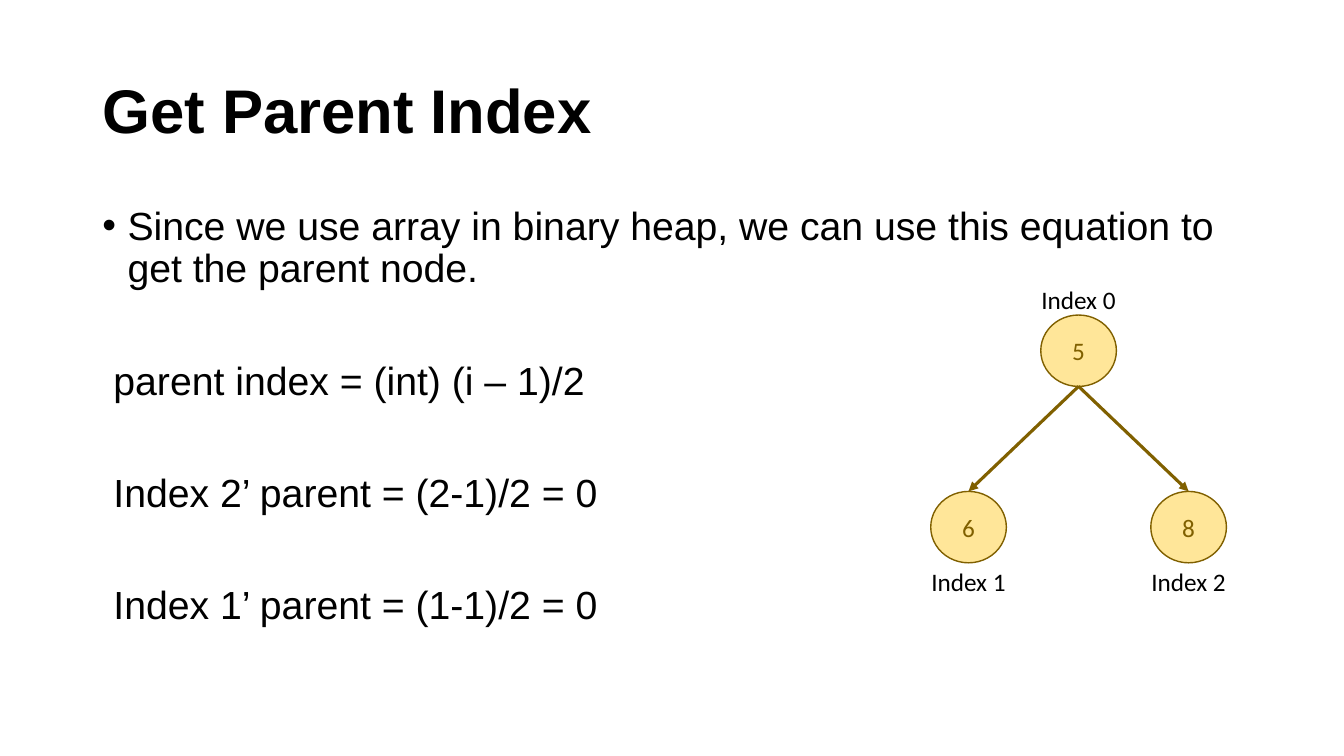
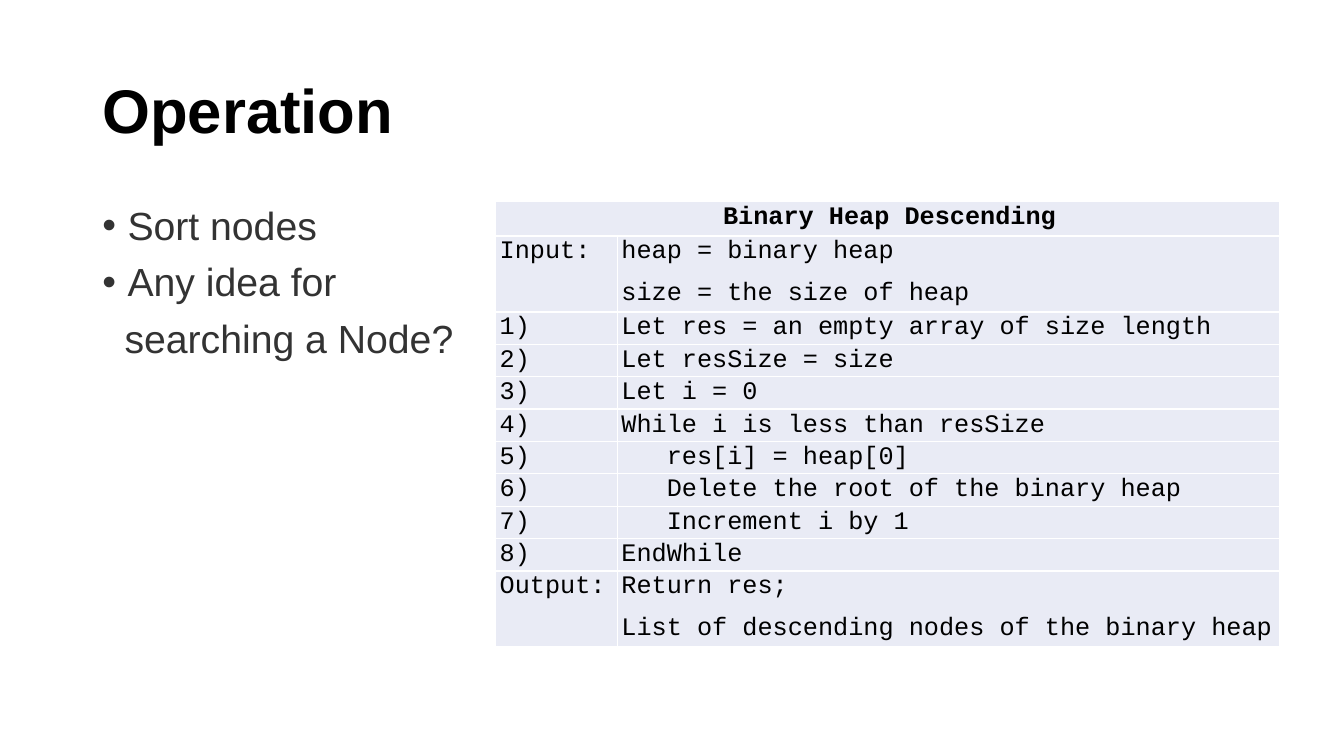
from lxml.etree import SubElement
from pptx import Presentation
from pptx.dml.color import RGBColor
from pptx.enum.shapes import MSO_CONNECTOR, MSO_SHAPE
from pptx.enum.text import MSO_ANCHOR, PP_ALIGN
from pptx.oxml import parse_xml
from pptx.oxml.ns import nsdecls, qn
from pptx.util import Inches, Pt


def rgb(value):
    return RGBColor.from_string(value)


def put(obj, values):
    for name, value in values.items():
        setattr(obj, name, value)


class Deck:
    COLS, ROWS = 160, 90
    BLACK, GRAY, WHITE = "000000", "333333", "FFFFFF"
    GOLD, BROWN, CELL = "FFE699", "806000", "E9EBF5"
    TITLE = {"name": "Arial", "size": Pt(44), "bold": True}
    BODY = {"name": "Arial", "size": Pt(28)}
    NODE = {"name": "Calibri", "size": Pt(18)}
    CODE = {"name": "Courier New", "size": Pt(18)}
    TIGHT = {"line_spacing": 0.9}
    SPACED = {"line_spacing": 0.9, "space_before": Pt(10)}
    CENTER = {"alignment": PP_ALIGN.CENTER}
    CODE_LINE = {"line_spacing": 1.07, "space_after": Pt(8)}

    def __init__(self):
        self.prs = Presentation()
        put(self.prs, {"slide_width": Inches(13.33), "slide_height": Inches(7.5)})

    def x(self, cols):
        return round(self.prs.slide_width * cols / self.COLS)

    def y(self, rows):
        return round(self.prs.slide_height * rows / self.ROWS)

    def box(self, left, top, width, height):
        return self.x(left), self.y(top), self.x(width), self.y(height)

    def slide(self, title):
        self.s = self.prs.slides.add_slide(self.prs.slide_layouts[6])
        tf = self.text((11, 4.8, 138, 17.4), [title], self.TITLE, self.BLACK, self.TIGHT)
        tf.vertical_anchor = MSO_ANCHOR.MIDDLE

    def paragraphs(self, tf, lines, font, color, style):
        for i, line in enumerate(lines):
            words, extra = line if isinstance(line, tuple) else (line, {})
            p = tf.paragraphs[0] if i == 0 else tf.add_paragraph()
            values = {**style, **extra}
            indent = values.pop("indent", 0)
            bullet = values.pop("bullet", None)
            put(p, values)
            r = p.add_run()
            r.text = words
            put(r.font, font)
            r.font.color.rgb = rgb(color)
            pPr = p._p.get_or_add_pPr()
            pPr.set("marL", str(Inches(indent)))
            pPr.set("indent", str(Inches(-indent if bullet else 0)))
            if bullet:
                SubElement(pPr, qn("a:buFont")).set("typeface", "Arial")
                SubElement(pPr, qn("a:buChar")).set("char", bullet)

    def text(self, box, lines, font, color, style, wrap=True):
        tf = self.s.shapes.add_textbox(*self.box(*box)).text_frame
        tf.word_wrap = wrap
        self.paragraphs(tf, lines, font, color, style)
        return tf

    def body(self, lines, color):
        self.text((11, 24, 138, 57), lines, self.BODY, color, self.SPACED)

    def node(self, center, top, value, label, label_top):
        width, label_width = 9, 11.4
        box = self.box(center - width / 2, top, width, 8.5)
        sp = self.s.shapes.add_shape(MSO_SHAPE.OVAL, *box)
        sp.shadow.inherit = False
        sp.fill.solid()
        sp.fill.fore_color.rgb = rgb(self.GOLD)
        sp.line.color.rgb = rgb(self.BROWN)
        sp.line.width = Pt(1)
        sp.text_frame.vertical_anchor = MSO_ANCHOR.MIDDLE
        self.paragraphs(sp.text_frame, [value], self.NODE, self.BROWN, self.CENTER)
        self.text((center - label_width / 2, label_top, label_width, 4.8),
                  [label], self.NODE, self.BLACK, self.CENTER, wrap=False)
        return sp

    def arrow(self, parent, child):
        start = parent.left + parent.width // 2, parent.top + parent.height
        line = self.s.shapes.add_connector(MSO_CONNECTOR.STRAIGHT, *start, child.left, child.top)
        line.end_connect(child, 0)
        line.line.color.rgb = rgb(self.BROWN)
        line.line.width = Pt(2.25)
        spPr = line._element.spPr
        SubElement(spPr.find(qn("a:ln")), qn("a:tailEnd")).set("type", "triangle")
        SubElement(spPr, qn("a:effectLst"))

    def cell(self, cell, lines, font, style):
        put(cell, {f"margin_{side}": 0 for side in ("left", "right", "top", "bottom")})
        cell.fill.solid()
        cell.fill.fore_color.rgb = rgb(self.CELL)
        tcPr = cell._tc.get_or_add_tcPr()
        for i, side in enumerate("LRTB"):
            tcPr.insert(i, parse_xml(
                f'<a:ln{side} {nsdecls("a")} w="{Pt(1)}"><a:solidFill>'
                f'<a:srgbClr val="{self.WHITE}"/></a:solidFill></a:ln{side}>'))
        self.paragraphs(cell.text_frame, lines, font, self.BLACK,
                        {**self.CODE_LINE, "indent": 0.04, **style})

    def listing(self, left, top, widths, title, rows):
        heights = [4.1] + [3.6 if len(lines) == 1 else 8.6 for _, lines in rows]
        box = self.box(left, top, sum(widths), sum(heights))
        table = self.s.shapes.add_table(len(heights), len(widths), *box).table
        put(table, {"first_row": False, "horz_banding": False})
        for column, width in zip(table.columns, widths):
            column.width = self.x(width)
        for row, height in zip(table.rows, heights):
            row.height = self.y(height)
        head = table.cell(0, 0)
        head.merge(table.cell(0, 1))
        self.cell(head, [title], {**self.CODE, "bold": True}, self.CENTER)
        for i, (step, lines) in enumerate(rows, 1):
            self.cell(table.cell(i, 0), [step], self.CODE, {})
            self.cell(table.cell(i, 1), lines, self.CODE, {})


def parent_index(deck):
    deck.slide("Get Parent Index")
    equation = {"indent": 0.11, "space_before": Pt(50)}
    deck.body([
        ("Since we use array in binary heap, we can use this equation to get the parent node.",
         {"indent": 0.25, "bullet": "•"}),
        ("parent index = (int) (i – 1)/2", equation),
        ("Index 2’ parent = (2-1)/2 = 0", equation),
        ("Index 1’ parent = (1-1)/2 = 0", equation),
    ], deck.BLACK)
    center, spread, top, level = 128.4, 13.1, 37.5, 21
    root = deck.node(center, top, "5", "Index 0", top - 4.2)
    for side, value, label in ((-1, "6", "Index 1"), (1, "8", "Index 2")):
        child = deck.node(center + side * spread, top + level, value, label, top + level + 8.3)
        deck.arrow(root, child)


def operation(deck):
    deck.slide("Operation")
    justified = {"alignment": PP_ALIGN.JUSTIFY}
    item = {**justified, "indent": 0.25, "bullet": "•"}
    deck.body([
        ("Sort nodes", item),
        ("Any idea for", item),
        ("searching a Node?", {**justified, "indent": 0.22}),
    ], deck.GRAY)
    nested = {"indent": 0.49}
    steps = [
        "Let res = an empty array of size length",
        "Let resSize = size",
        "Let i = 0",
        "While i is less than resSize",
        ("res[i] = heap[0]", nested),
        ("Delete the root of the binary heap", nested),
        ("Increment i by 1", nested),
        "EndWhile",
    ]
    rows = [
        ("Input:", ["heap = binary heap", "size = the size of heap"]),
        *((f"{i})", [step]) for i, step in enumerate(steps, 1)),
        ("Output:", ["Return res;", "List of descending nodes of the binary heap"]),
    ]
    deck.listing(59, 24, (14.5, 78.8), "Binary Heap Descending", rows)


def main():
    deck = Deck()
    parent_index(deck)
    operation(deck)
    deck.prs.save("out.pptx")


if __name__ == "__main__":
    main()
